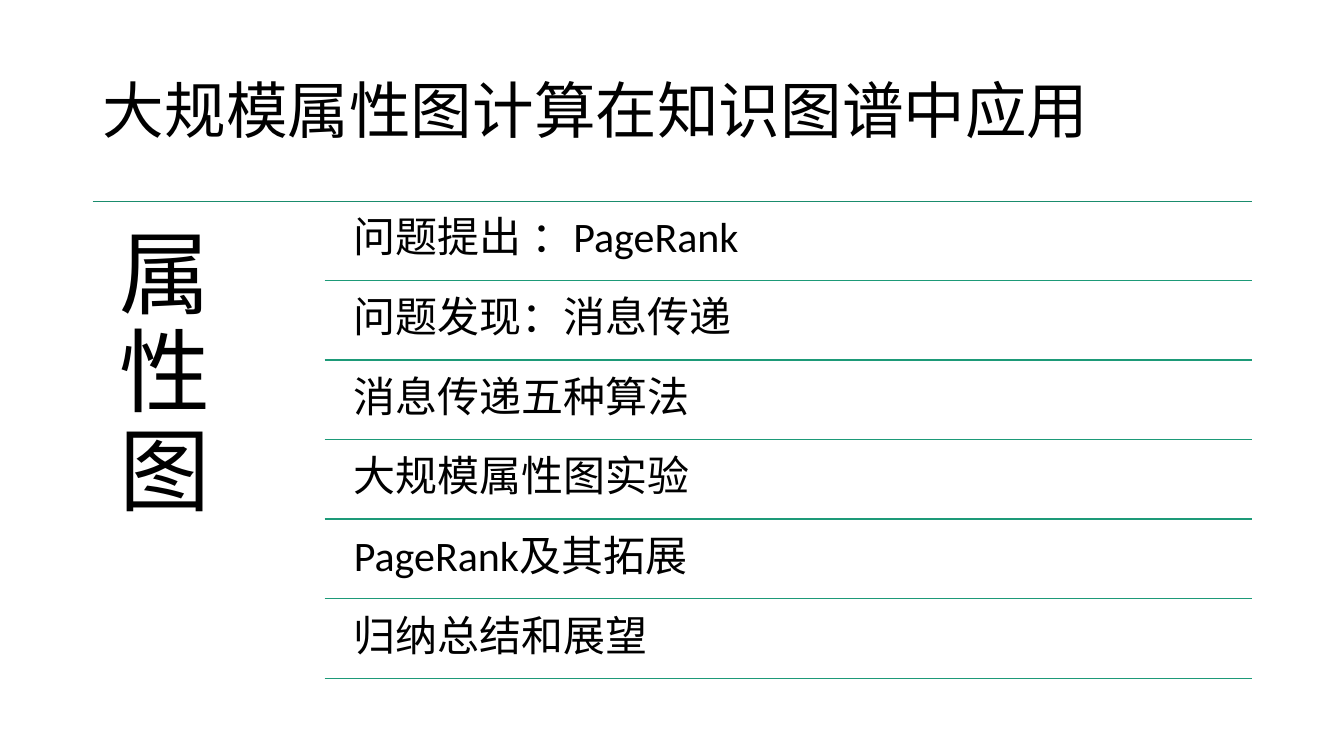
"""Build an agenda slide: a topic on the left and ruled rows on the right."""
from lxml.etree import SubElement
from pptx import Presentation
from pptx.dml.color import RGBColor
from pptx.enum.shapes import MSO_CONNECTOR
from pptx.enum.text import MSO_ANCHOR, MSO_AUTO_SIZE, PP_ALIGN
from pptx.oxml.ns import qn
from pptx.util import Inches, Pt

TITLE = "大规模属性图计算在知识图谱中应用"
TOPIC = "属性图"
AGENDA = [
    "问题提出 ：PageRank",
    "问题发现：消息传递",
    "消息传递五种算法",
    "大规模属性图实验",
    "PageRank及其拓展",
    "归纳总结和展望",
]

BLACK = RGBColor(0x00, 0x00, 0x00)
TOP_GREEN = RGBColor(0x1A, 0x8C, 0x6D)
ROW_GREEN = RGBColor(0x1D, 0x9A, 0x78)
FONT = "Calibri"

SLIDE_W, SLIDE_H = 13.33, 7.5
LEFT, RIGHT, TOP = 0.92, 12.42, 2
TOPIC_W, TOPIC_H = (RIGHT - LEFT) / 5, 4.76
RULE_LEFT = LEFT + TOPIC_W
ROW_LEFT, ROW_H, ROW_GAP = 3.39, 0.75, 0.04
FIRST_ROW = TOP + ROW_GAP - 0.01
ROW_PITCH = ROW_H + ROW_GAP


def write(box, text, size, inset=None):
    """Fill a text shape with one left-aligned paragraph."""
    frame = box.text_frame
    frame.word_wrap = True
    frame.auto_size = MSO_AUTO_SIZE.NONE
    if inset is not None:
        frame.margin_left = frame.margin_right = Inches(inset)
        frame.margin_top = frame.margin_bottom = Inches(inset)
    paragraph = frame.paragraphs[0]
    paragraph.text = text
    paragraph.alignment = PP_ALIGN.LEFT
    paragraph.line_spacing = 0.9
    paragraph.font.size = Pt(size)
    paragraph.font.name = FONT
    paragraph.font.color.rgb = BLACK


def add_label(slide, text, left, top, width, height, size, inset):
    """Add a text box placed in inches."""
    box = slide.shapes.add_textbox(*map(Inches, (left, top, width, height)))
    write(box, text, size, inset)


def add_rule(slide, left, y, color):
    """Add a horizontal rule that ends at the right margin."""
    rule = slide.shapes.add_connector(
        MSO_CONNECTOR.STRAIGHT, *map(Inches, (left, y, RIGHT, y)))
    rule.line.color.rgb = color
    rule.line.width = Pt(1)
    SubElement(rule._element.spPr, qn("a:effectLst"))


def main():
    """Lay out the slide and save it."""
    deck = Presentation()
    deck.slide_width, deck.slide_height = Inches(SLIDE_W), Inches(SLIDE_H)
    slide = deck.slides.add_slide(deck.slide_layouts[5])

    title = slide.shapes.title
    title.left, title.top = Inches(LEFT), Inches(0.4)
    title.width, title.height = Inches(RIGHT - LEFT), Inches(1.45)
    write(title, TITLE, 44)
    title.text_frame.vertical_anchor = MSO_ANCHOR.MIDDLE

    add_rule(slide, LEFT, TOP, TOP_GREEN)
    add_label(slide, TOPIC, LEFT, TOP, TOPIC_W, TOPIC_H, 65, 0.27)

    for row, item in enumerate(AGENDA):
        top = FIRST_ROW + row * ROW_PITCH
        add_label(slide, item, ROW_LEFT, top, RIGHT - ROW_LEFT, ROW_H, 30, 0.12)
        add_rule(slide, RULE_LEFT, top + ROW_H, ROW_GREEN)

    deck.save("out.pptx")


if __name__ == "__main__":
    main()
